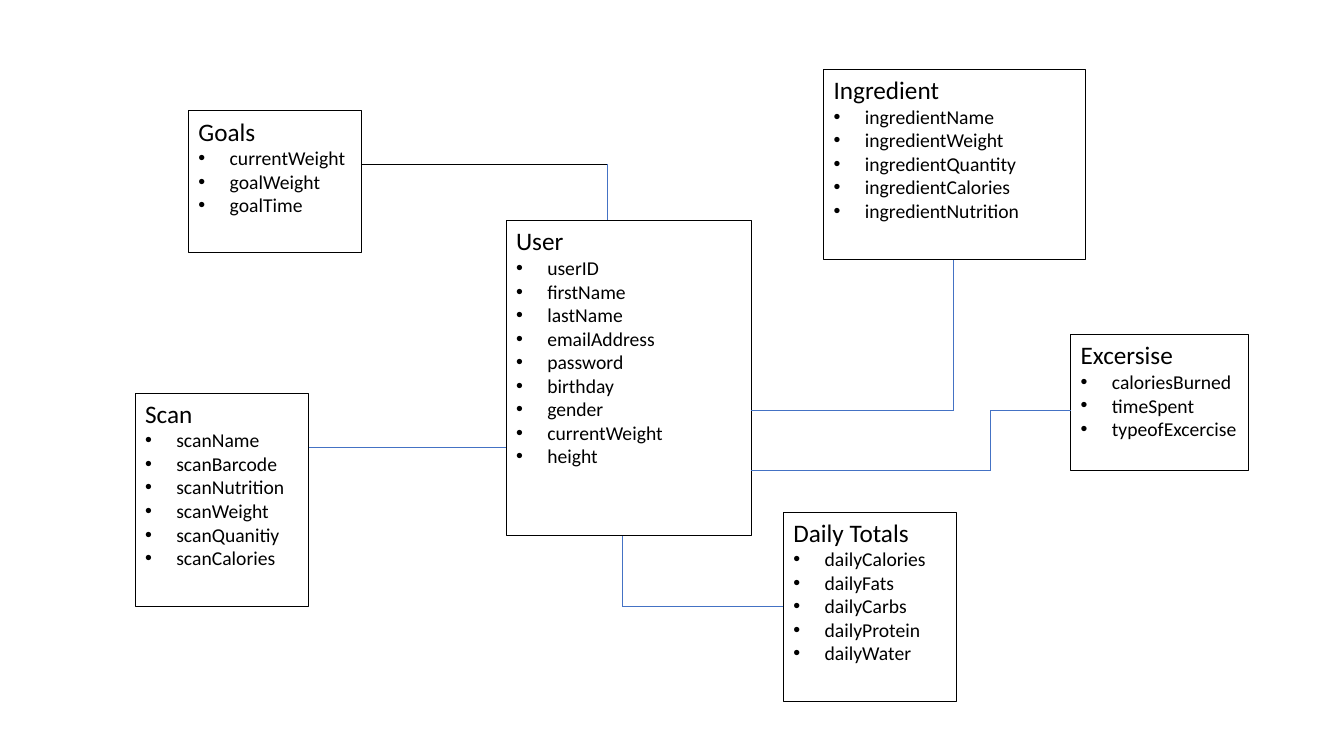
"""Build a class diagram of a diet tracker with User at its centre."""
from lxml.etree import SubElement
from pptx import Presentation
from pptx.dml.color import RGBColor
from pptx.enum.shapes import MSO_CONNECTOR, MSO_SHAPE
from pptx.enum.text import MSO_ANCHOR, PP_ALIGN
from pptx.oxml.ns import qn
from pptx.util import Inches, Pt

BLACK = RGBColor(0x00, 0x00, 0x00)
BLUE = RGBColor(0x44, 0x72, 0xC4)

CLASSES = [
    ("User", (5.02, 2.19, 2.43, 3.12),
     ["userID", "firstName", "lastName", "emailAddress", "password",
      "birthday", "gender", "currentWeight", "height"]),
    ("Goals", (1.87, 1.1, 1.72, 1.41),
     ["currentWeight", "goalWeight", "goalTime"]),
    ("Ingredient", (8.17, 0.69, 2.6, 1.88),
     ["ingredientName", "ingredientWeight", "ingredientQuantity",
      "ingredientCalories", "ingredientNutrition"]),
    ("Scan", (1.34, 3.9, 1.72, 2.12),
     ["scanName", "scanBarcode", "scanNutrition", "scanWeight",
      "scanQuanitiy", "scanCalories"]),
    ("Daily Totals", (7.77, 5.08, 1.72, 1.88),
     ["dailyCalories", "dailyFats", "dailyCarbs", "dailyProtein", "dailyWater"]),
    ("Excersise", (10.62, 3.32, 1.76, 1.35),
     ["caloriesBurned", "timeSpent", "typeofExcercise"]),
]

LINKS = [
    (BLACK, [(3.58, 1.63), (6.02, 1.63)]),
    (BLUE, [(6.02, 1.63), (6.02, 2.18)]),
    (BLUE, [(7.45, 4.07), (9.46, 4.07), (9.46, 2.58)]),
    (BLUE, [(3.06, 4.44), (5.02, 4.44)]),
    (BLUE, [(7.77, 6.02), (6.17, 6.02), (6.17, 5.32)]),
    (BLUE, [(7.45, 4.67), (9.82, 4.67), (9.82, 4.07), (10.62, 4.07)]),
]


def add_bullet(para):
    properties = para._p.get_or_add_pPr()
    properties.set("marL", str(Inches(0.31)))
    properties.set("indent", str(-Inches(0.31)))
    SubElement(properties, qn("a:buFont")).set("typeface", "Arial")
    SubElement(properties, qn("a:buChar")).set("char", "•")


deck = Presentation()
deck.slide_width = Inches(13.33)
deck.slide_height = Inches(7.5)
page = deck.slides.add_slide(deck.slide_layouts[6])

for name, bounds, attributes in CLASSES:
    box = page.shapes.add_shape(MSO_SHAPE.RECTANGLE, *map(Inches, bounds))
    box.shadow.inherit = False
    box.fill.background()
    box.line.color.rgb = BLACK
    box.line.width = Pt(0.75)
    frame = box.text_frame
    frame.word_wrap = True
    frame.vertical_anchor = MSO_ANCHOR.TOP
    frame.text = "\n".join([name] + attributes)
    for index, para in enumerate(frame.paragraphs):
        para.alignment = PP_ALIGN.LEFT
        if index > 0:
            add_bullet(para)
        font = para.runs[0].font
        font.name = "Calibri"
        font.size = Pt(14 if index else 18)
        font.color.rgb = BLACK

for color, points in LINKS:
    for start, end in zip(points, points[1:]):
        link = page.shapes.add_connector(
            MSO_CONNECTOR.STRAIGHT, *map(Inches, start + end))
        link.line.color.rgb = color
        link.line.width = Pt(0.5)
        SubElement(link._element.spPr, qn("a:effectLst"))

deck.save("out.pptx")
